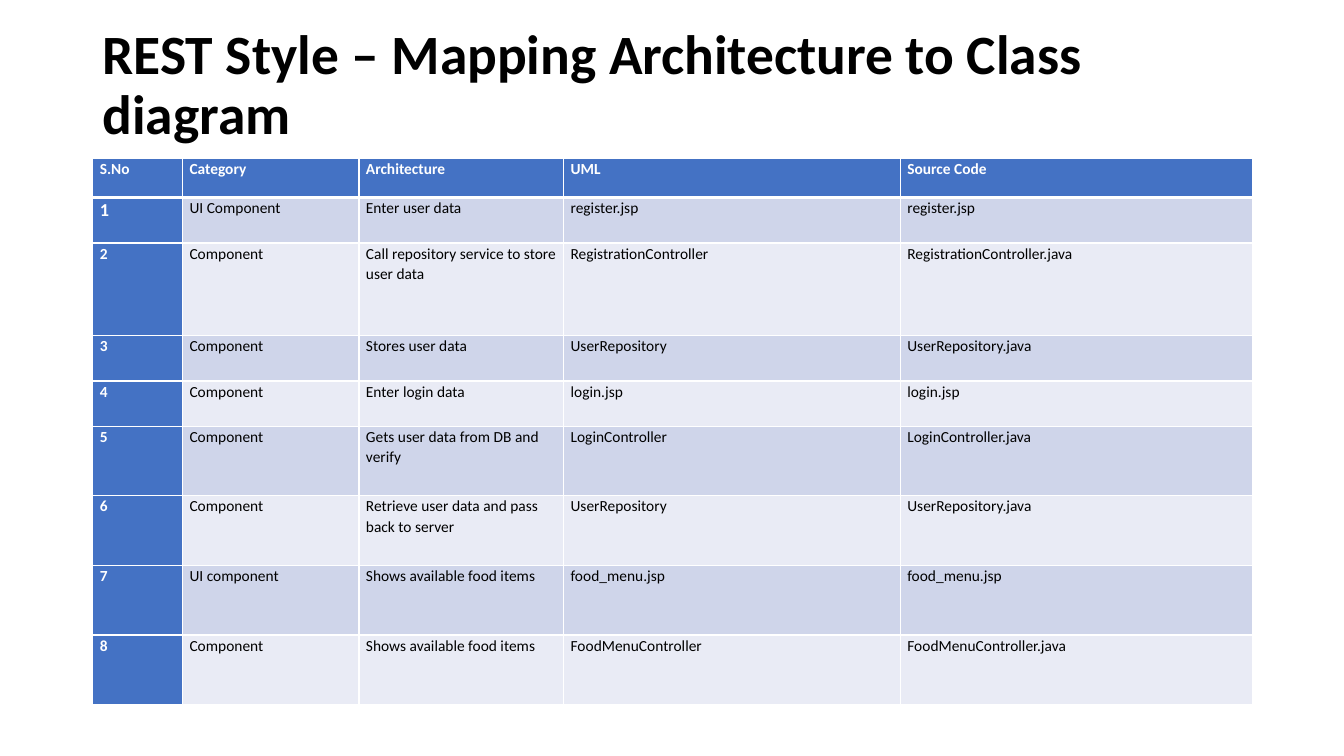
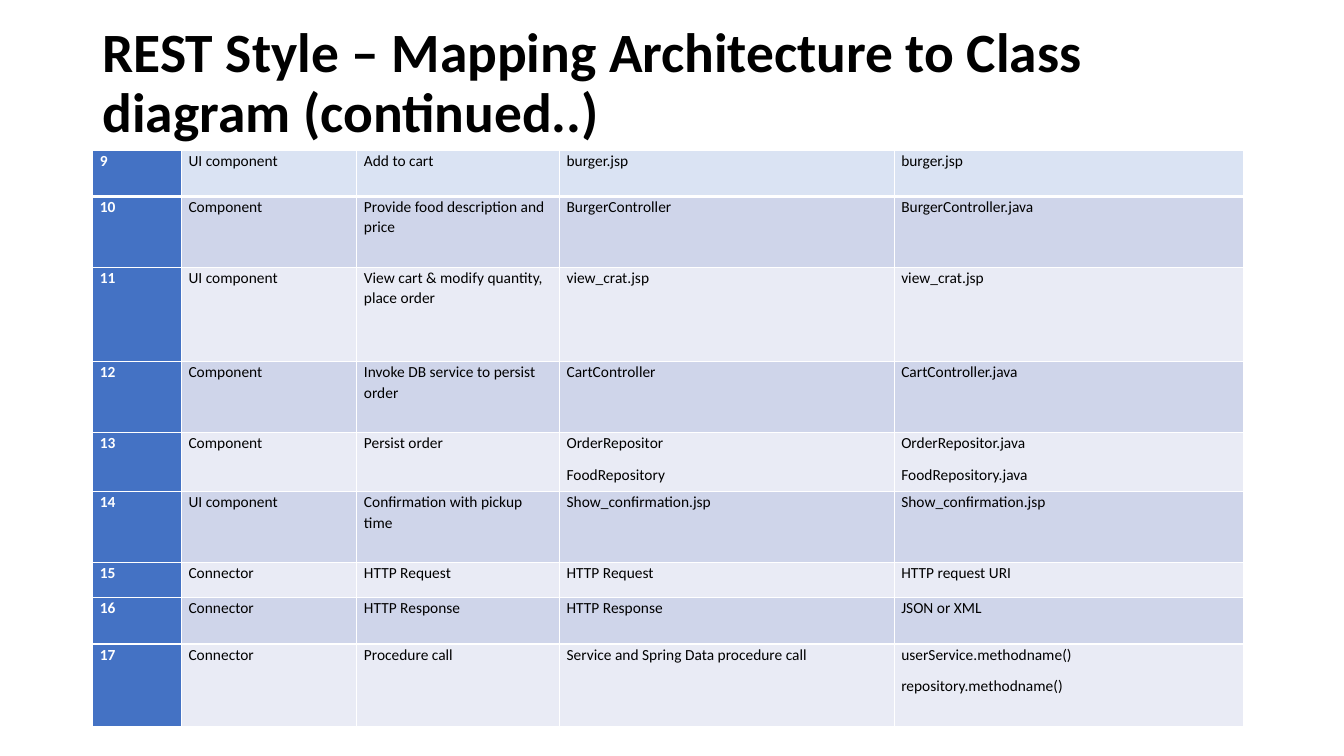
from lxml import etree
from pptx import Presentation
from pptx.dml.color import RGBColor
from pptx.enum.text import MSO_ANCHOR
from pptx.oxml.ns import qn
from pptx.util import Inches, Pt

MIDDLE = MSO_ANCHOR.MIDDLE
FONT = "Calibri"
BLACK = "000000"
WHITE = "FFFFFF"
BLUE = "4472C4"
PALE_BLUE = "DAE3F3"
BANDS = ("CFD5EA", "E9EBF5")
LEFT = 0.92
THIN_BORDER = 1
THICK_BORDER = 3

TITLE_FORMAT = {"name": FONT, "size": Pt(39.6), "bold": True}
BODY_FORMAT = {"name": FONT, "size": Pt(11), "bold": False}
HEADING_FORMAT = {**BODY_FORMAT, "bold": True}
LARGE_NUMBER_FORMAT = {**HEADING_FORMAT, "size": Pt(13)}
CELL_MARGINS = {
    "margin_left": Inches(0.07),
    "margin_right": Inches(0.07),
    "margin_top": 0,
    "margin_bottom": 0,
}
CELL_SPACING = {"line_spacing": 1.07, "space_after": Pt(8)}

TITLE = "REST Style – Mapping Architecture to Class diagram"
HEADINGS = ("S.No", "Category", "Architecture", "UML", "Source Code")
FIRST_ROWS = [
    HEADINGS,
    ("1", "UI Component", "Enter user data", "register.jsp", "register.jsp"),
    ("2", "Component", "Call repository service to store user data",
     "RegistrationController", "RegistrationController.java"),
    ("3", "Component", "Stores user data", "UserRepository", "UserRepository.java"),
    ("4", "Component", "Enter login data", "login.jsp", "login.jsp"),
    ("5", "Component", "Gets user data from DB and verify",
     "LoginController", "LoginController.java"),
    ("6", "Component", "Retrieve user data and pass back to server",
     "UserRepository", "UserRepository.java"),
    ("7", "UI component", "Shows available food items", "food_menu.jsp", "food_menu.jsp"),
    ("8", "Component", "Shows available food items",
     "FoodMenuController", "FoodMenuController.java"),
]
CONTINUED_ROWS = [
    ("9", "UI component", "Add to cart", "burger.jsp", "burger.jsp"),
    ("10", "Component", "Provide food description and price",
     "BurgerController", "BurgerController.java"),
    ("11", "UI component", "View cart & modify quantity, place order",
     "view_crat.jsp", "view_crat.jsp"),
    ("12", "Component", "Invoke DB service to persist order",
     "CartController", "CartController.java"),
    ("13", "Component", "Persist order", "OrderRepositor\nFoodRepository",
     "OrderRepositor.java\nFoodRepository.java"),
    ("14", "UI component", "Confirmation with pickup time",
     "Show_confirmation.jsp", "Show_confirmation.jsp"),
    ("15", "Connector", "HTTP Request", "HTTP Request", "HTTP request URI"),
    ("16", "Connector", "HTTP Response", "HTTP Response", "JSON or XML"),
    ("17", "Connector", "Procedure call", "Service and Spring Data procedure call",
     "userService.methodname()\nrepository.methodname()"),
]

SLIDES = [
    {
        "title": TITLE,
        "title_height": 0.91,
        "top": 1.57,
        "widths": (0.89, 1.75, 2.03, 3.34, 3.49),
        "heights": (0.39, 0.45, 0.92, 0.45, 0.45, 0.69, 0.69, 0.69, 0.69),
        "rows": FIRST_ROWS,
        "top_fill": BLUE,
    },
    {
        "title": f"{TITLE} (continued..)",
        "title_height": 0.88,
        "top": 1.49,
        "widths": (0.88, 1.74, 2.01, 3.32, 3.46),
        "heights": (0.46, 0.7, 0.94, 0.7, 0.59, 0.7, 0.35, 0.46, 0.82),
        "rows": CONTINUED_ROWS,
        "top_fill": PALE_BLUE,
    },
]


def color(value):
    return RGBColor.from_string(value)


def set_attributes(target, values):
    for name, value in values.items():
        setattr(target, name, value)


def format_font(font, values, font_color):
    set_attributes(font, values)
    font.color.rgb = color(font_color)


def add_title(slide, text, height):
    shape = slide.shapes.add_textbox(Inches(LEFT), Inches(0.4), Inches(11.5), Inches(height))
    frame = shape.text_frame
    frame.word_wrap = True
    frame.vertical_anchor = MIDDLE
    paragraph = frame.paragraphs[0]
    paragraph.line_spacing = 0.9
    run = paragraph.add_run()
    run.text = text
    format_font(run.font, TITLE_FORMAT, BLACK)


def set_borders(cell, top, bottom):
    properties = cell._tc.get_or_add_tcPr()
    widths = {"a:lnL": THIN_BORDER, "a:lnR": THIN_BORDER, "a:lnT": top, "a:lnB": bottom}
    for tag, width in widths.items():
        line = etree.SubElement(properties, qn(tag), w=str(Pt(width)))
        fill = etree.SubElement(line, qn("a:solidFill"))
        etree.SubElement(fill, qn("a:srgbClr"), val=WHITE)


def fill_cell(cell, text, font_format, fill_color):
    set_attributes(cell, CELL_MARGINS)
    cell.fill.solid()
    cell.fill.fore_color.rgb = color(fill_color)
    cell.text = text
    font_color = WHITE if fill_color == BLUE else BLACK
    for paragraph in cell.text_frame.paragraphs:
        set_attributes(paragraph, CELL_SPACING)
        for run in paragraph.runs:
            format_font(run.font, font_format, font_color)


def add_mapping_table(slide, top, widths, heights, rows, top_fill):
    table = slide.shapes.add_table(
        len(rows), len(widths), Inches(LEFT), Inches(top),
        Inches(sum(widths)), Inches(sum(heights)),
    ).table
    table.first_row = rows[0] == HEADINGS
    table.first_col = True
    for column, width in zip(table.columns, widths):
        column.width = Inches(width)
    for row, height in zip(table.rows, heights):
        row.height = Inches(height)
    for row_index, texts in enumerate(rows):
        row_fill = BANDS[(row_index - 1) % 2] if row_index else top_fill
        top_border = THICK_BORDER if row_index == 1 else THIN_BORDER
        bottom_border = THICK_BORDER if row_index == 0 else THIN_BORDER
        for column_index, text in enumerate(texts):
            cell = table.cell(row_index, column_index)
            fill_color = row_fill if column_index else BLUE
            font_format = HEADING_FORMAT if fill_color == BLUE else BODY_FORMAT
            if text == "1":
                font_format = LARGE_NUMBER_FORMAT
            set_borders(cell, top_border, bottom_border)
            fill_cell(cell, text, font_format, fill_color)


def main():
    presentation = Presentation()
    presentation.slide_width = Inches(13.33)
    presentation.slide_height = Inches(7.5)
    blank_layout = presentation.slide_layouts[6]
    for content in SLIDES:
        slide = presentation.slides.add_slide(blank_layout)
        add_title(slide, content["title"], content["title_height"])
        add_mapping_table(
            slide, content["top"], content["widths"], content["heights"],
            content["rows"], content["top_fill"],
        )
    presentation.save("out.pptx")


if __name__ == "__main__":
    main()
